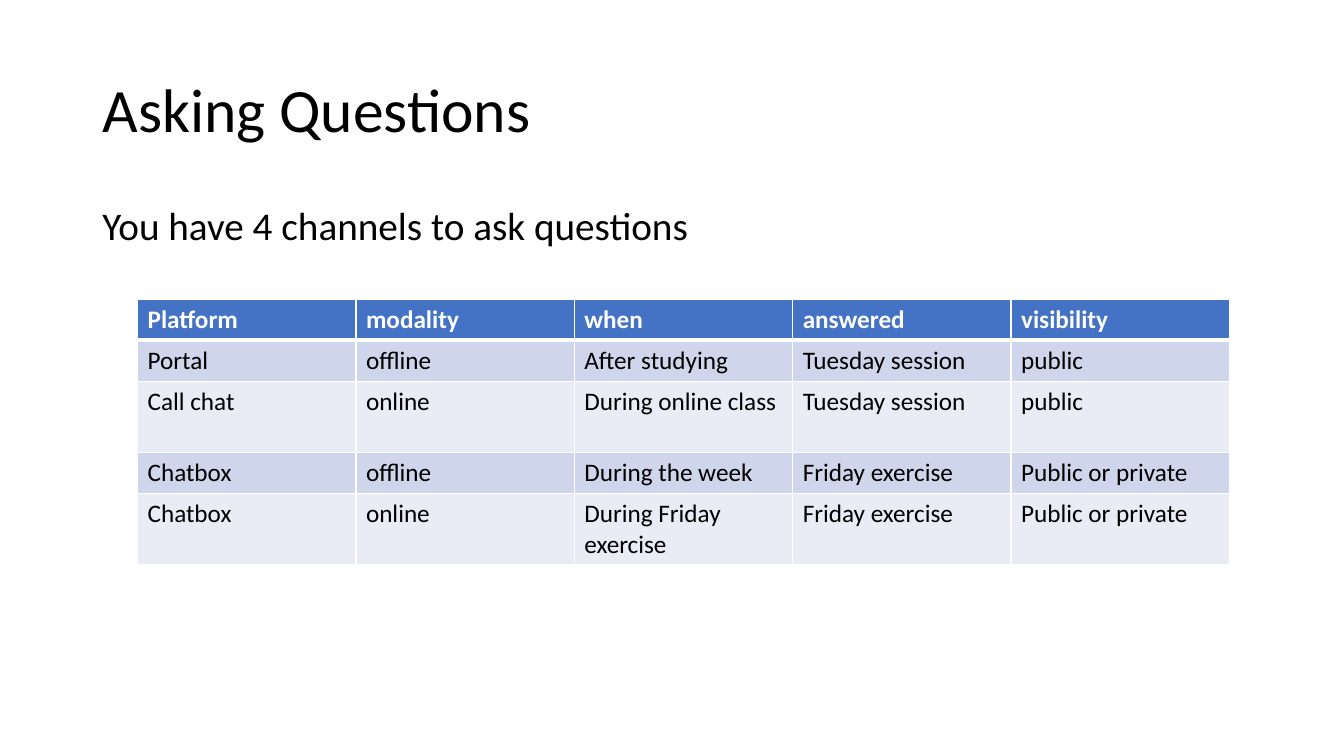
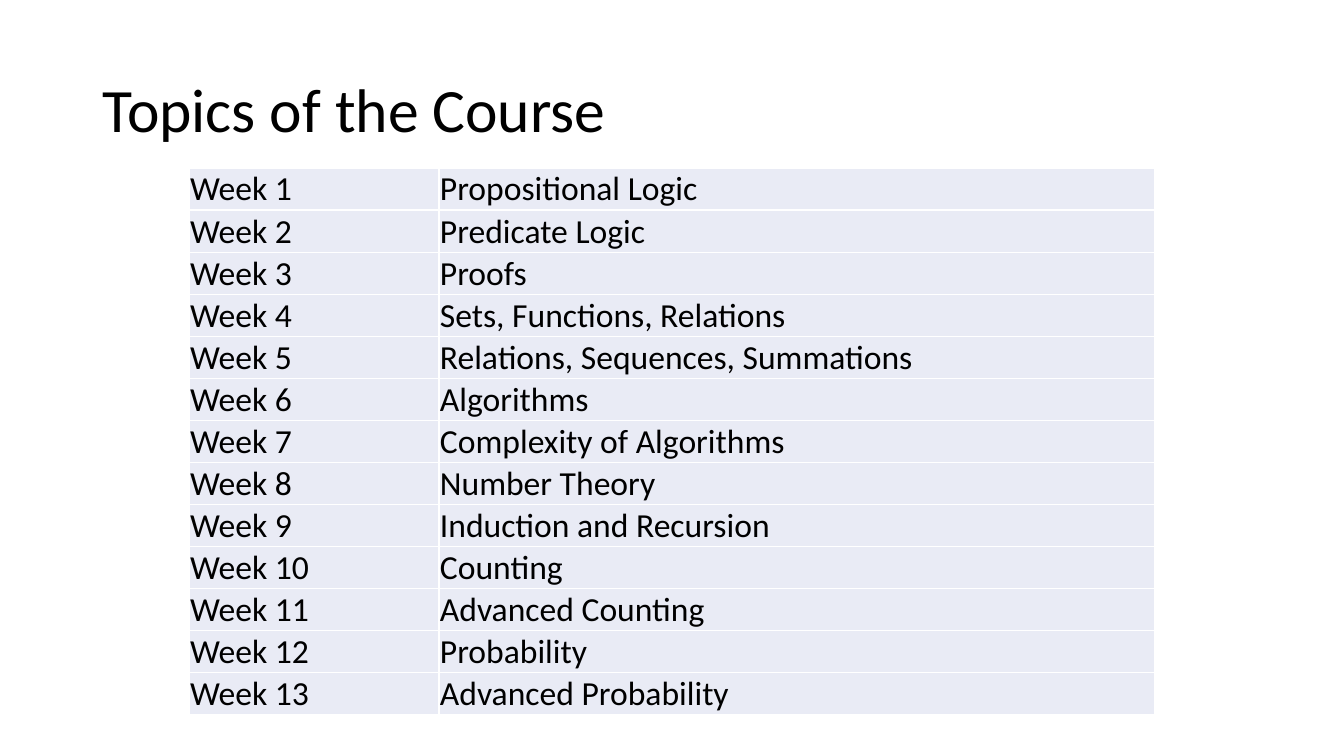
from dataclasses import dataclass

from lxml.etree import SubElement
from pptx import Presentation
from pptx.dml.color import RGBColor
from pptx.enum.text import MSO_ANCHOR, MSO_AUTO_SIZE, PP_ALIGN
from pptx.oxml.ns import qn
from pptx.util import Emu, Pt

EMU_PER_PX = 9525
TITLE_ONLY_LAYOUT = 5


@dataclass(frozen=True)
class Theme:
    font: str = "Calibri"
    ink: str = "000000"
    paper: str = "FFFFFF"
    header: str = "4472C4"
    band: str = "CFD5EA"
    pale_band: str = "E9EBF5"
    title_size: int = 44
    lead_size: int = 28
    topic_size: int = 24
    channel_size: int = 18
    rule_width: int = 1
    header_rule_width: int = 3
    line_spacing: float = 0.9


THEME = Theme()

CHANNELS = [
    ["Platform", "modality", "when", "answered", "visibility"],
    ["Portal", "offline", "After studying", "Tuesday session", "public"],
    ["Call chat", "online", "During online class", "Tuesday session", "public"],
    ["Chatbox", "offline", "During the week", "Friday exercise", "Public or private"],
    ["Chatbox", "online", "During Friday exercise", "Friday exercise", "Public or private"],
]

TOPICS = [
    "Propositional Logic",
    "Predicate Logic",
    "Proofs",
    "Sets, Functions, Relations",
    "Relations, Sequences, Summations",
    "Algorithms",
    "Complexity of Algorithms",
    "Number Theory",
    "Induction and Recursion",
    "Counting",
    "Advanced Counting",
    "Probability",
    "Advanced Probability",
]


def px(length):
    return Emu(length * EMU_PER_PX)


def style_text(text_frame, size, color=THEME.ink, bold=False):
    for paragraph in text_frame.paragraphs:
        paragraph.alignment = PP_ALIGN.LEFT
        for run in paragraph.runs:
            run.font.name = THEME.font
            run.font.size = Pt(size)
            run.font.bold = bold
            run.font.color.rgb = RGBColor.from_string(color)


def set_heading(shape, text, size, anchor):
    frame = shape.text_frame
    frame.text = text
    frame.word_wrap = True
    frame.auto_size = MSO_AUTO_SIZE.NONE
    frame.vertical_anchor = anchor
    frame.paragraphs[0].line_spacing = THEME.line_spacing
    style_text(frame, size)


def add_titled_slide(deck, title):
    slide = deck.slides.add_slide(deck.slide_layouts[TITLE_ONLY_LAYOUT])
    heading = slide.shapes.title
    heading.left, heading.top = px(88), px(38)
    heading.width, heading.height = px(1104), px(139)
    set_heading(heading, title, THEME.title_size, MSO_ANCHOR.MIDDLE)
    return slide


def add_lead(slide, text):
    lead = slide.shapes.add_textbox(px(88), px(192), px(1104), px(457))
    set_heading(lead, text, THEME.lead_size, MSO_ANCHOR.TOP)
    lead.text_frame.paragraphs[0].space_before = Pt(10)


def set_borders(cell, top_width, bottom_width):
    properties = cell._tc.get_or_add_tcPr()
    widths = {"L": THEME.rule_width, "R": THEME.rule_width, "T": top_width, "B": bottom_width}
    for side, width in widths.items():
        border = SubElement(properties, qn(f"a:ln{side}"), w=str(Pt(width)))
        border_fill = SubElement(border, qn("a:solidFill"))
        SubElement(border_fill, qn("a:srgbClr"), val=THEME.paper)


def add_grid(slide, left, top, rows, column_widths, row_heights, size, has_header):
    grid = slide.shapes.add_table(
        len(rows), len(column_widths), px(left), px(top),
        px(sum(column_widths)), px(sum(row_heights)),
    ).table
    grid.first_row = grid.horz_banding = has_header
    for column, width in zip(grid.columns, column_widths):
        column.width = px(width)
    for index, (row, height, texts) in enumerate(zip(grid.rows, row_heights, rows)):
        row.height = px(height)
        is_header = has_header and index == 0
        is_banded = has_header and index % 2 == 1
        fill = THEME.header if is_header else THEME.band if is_banded else THEME.pale_band
        top_width = THEME.header_rule_width if has_header and index == 1 else THEME.rule_width
        bottom_width = THEME.header_rule_width if is_header else THEME.rule_width
        for cell, text in zip(row.cells, texts):
            set_borders(cell, top_width, bottom_width)
            cell.fill.solid()
            cell.fill.fore_color.rgb = RGBColor.from_string(fill)
            cell.text_frame.text = text
            style_text(cell.text_frame, size, THEME.paper if is_header else THEME.ink, is_header)
    return grid


def tighten_cells(grid):
    for cell in grid.iter_cells():
        cell.margin_left = cell.margin_right = cell.margin_top = px(1)
        cell.margin_bottom = px(0)
        cell.vertical_anchor = MSO_ANCHOR.BOTTOM


def add_questions_slide(deck):
    slide = add_titled_slide(deck, "Asking Questions")
    add_lead(slide, "You have 4 channels to ask questions")
    add_grid(slide, 131, 285, CHANNELS, [208] * 5, [39, 39, 68, 39, 68],
             THEME.channel_size, has_header=True)


def add_topics_slide(deck):
    slide = add_titled_slide(deck, "Topics of the Course")
    weeks = [[f"Week {number}", topic] for number, topic in enumerate(TOPICS, start=1)]
    schedule = add_grid(slide, 180, 160, weeks, [238, 682], [40] * len(weeks),
                        THEME.topic_size, has_header=False)
    tighten_cells(schedule)


def main():
    deck = Presentation()
    deck.slide_width, deck.slide_height = px(1280), px(720)
    add_questions_slide(deck)
    add_topics_slide(deck)
    deck.save("out.pptx")


if __name__ == "__main__":
    main()
